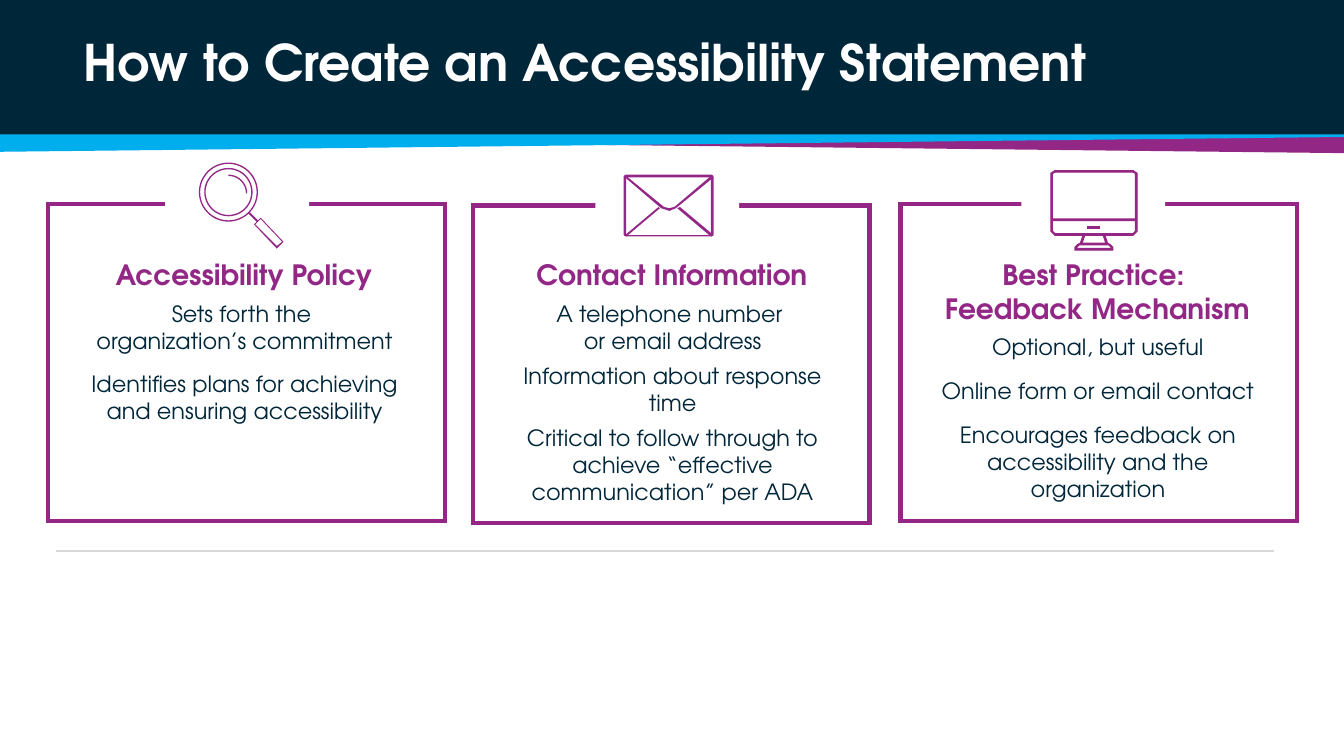
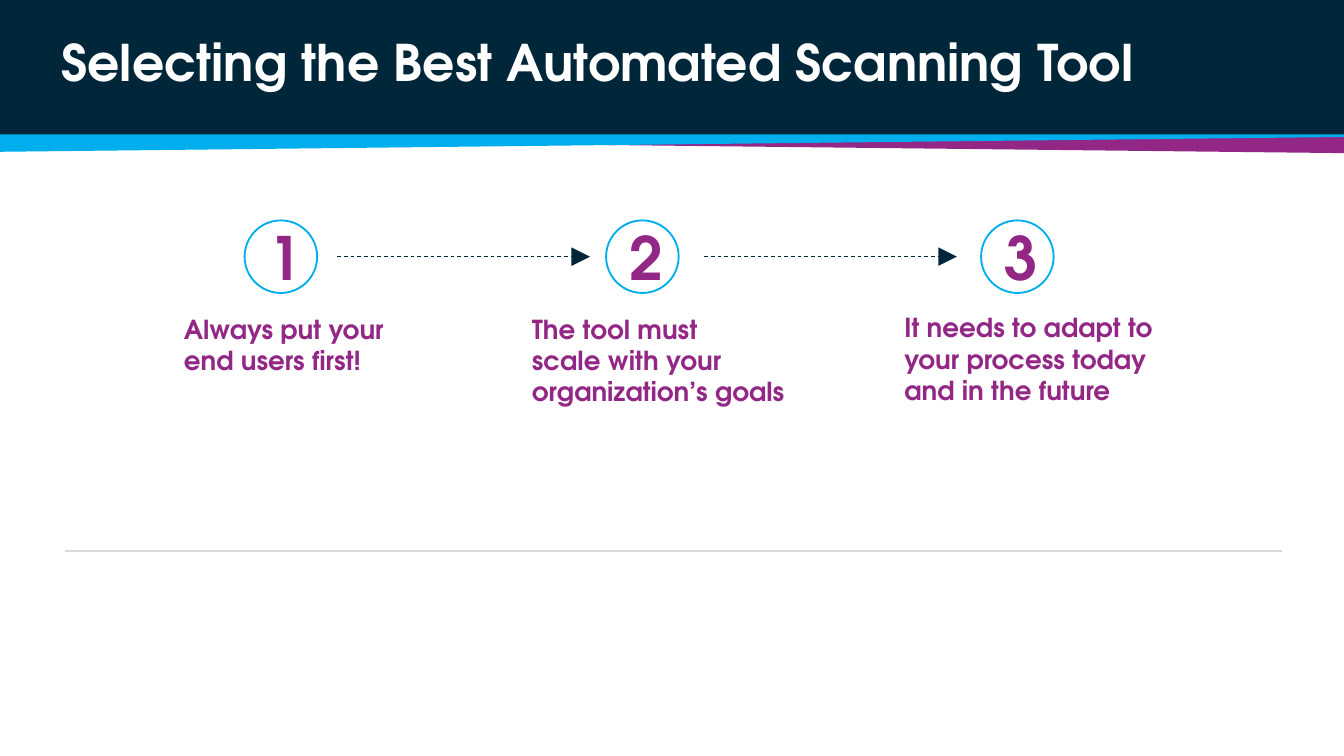
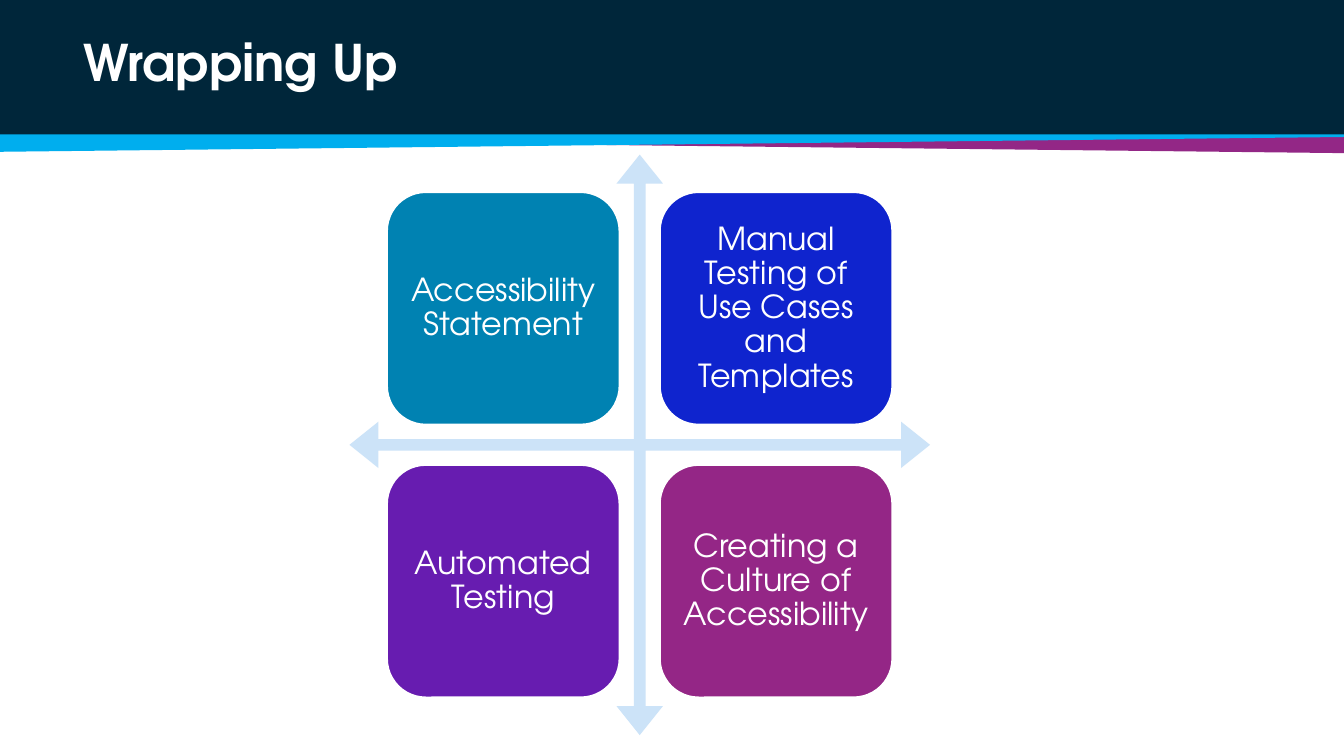
from copy import deepcopy
from dataclasses import dataclass
from itertools import product
from math import cos, radians, sin
from typing import Any, Callable

from lxml.etree import SubElement
from pptx import Presentation
from pptx.dml.color import RGBColor
from pptx.enum.dml import MSO_LINE
from pptx.enum.shapes import MSO_CONNECTOR, MSO_SHAPE
from pptx.enum.text import MSO_ANCHOR, MSO_AUTO_SIZE, PP_ALIGN
from pptx.oxml.ns import qn
from pptx.util import Inches, Pt

Point = tuple[float, float]
Box = tuple[float, float, float, float]


@dataclass(frozen=True)
class Theme:
    font: str = "TeX Gyre Adventor"
    navy: str = "00263A"
    plum: str = "932786"
    frame: str = "942686"
    icon: str = "942887"
    sky: str = "00AEEE"
    pale: str = "CCE3F8"
    grey: str = "D9D9D9"
    white: str = "FFFFFF"
    teal: str = "0082B2"
    blue: str = "0F24CE"
    violet: str = "671CB0"
    title: float = 27
    head: float = 15
    body: float = 12
    label: float = 14
    digit: float = 32
    tile: float = 17


THEME = Theme()


@dataclass
class Para:
    text: str
    size: float
    color: str
    bold: bool = False
    level: int = 0
    align: Any = None
    before: float = 0
    after: float = 0
    spacing: float = 1


@dataclass
class Card:
    """A framed column; gap is the left of the break in its top edge."""
    left: float
    top: float
    gap: float
    text_box: Box
    head: str
    lines: list[str]
    after: float
    icon: Callable[[Any], None]


@dataclass
class Step:
    left: float
    label: Box
    text: str


@dataclass
class Tile:
    text: str
    color: str


def paint(shape: Any, fill: str | None, edge: str | None, width: float = 1) -> None:
    shape.shadow.inherit = False
    if fill:
        shape.fill.solid()
        shape.fill.fore_color.rgb = RGBColor.from_string(fill)
    else:
        shape.fill.background()
    if edge:
        shape.line.color.rgb = RGBColor.from_string(edge)
        shape.line.width = Pt(width)
        SubElement(shape._element.spPr.find(qn("a:ln")), qn("a:miter"), lim="800000")
    else:
        shape.line.fill.background()


def add_box(shapes: Any, box: Box, fill: str | None = None, edge: str | None = None,
            width: float = 1, kind: Any = MSO_SHAPE.RECTANGLE) -> Any:
    shape = shapes.add_shape(kind, *map(Inches, box))
    paint(shape, fill, edge, width)
    return shape


def add_free(shapes: Any, fill: str, *loops: list[Point], edge: str | None = None) -> None:
    """Draw one closed outline; further loops cut holes in it."""
    first, *holes = [[(Inches(x), Inches(y)) for x, y in loop] for loop in loops]
    build = shapes.build_freeform(*first[0])
    build.add_line_segments(first[1:])
    for hole in holes:
        build.move_to(*hole[0])
        build.add_line_segments(hole[1:])
    paint(build.convert_to_shape(), fill, edge, 0.75)


def add_line(shapes: Any, start: Point, end: Point, color: str,
             width: float = 1, arrow: bool = False) -> None:
    line = shapes.add_connector(MSO_CONNECTOR.STRAIGHT, *map(Inches, start + end))
    line.line.color.rgb = RGBColor.from_string(color)
    line.line.width = Pt(width)
    props = line._element.spPr
    if arrow:
        line.line.dash_style = MSO_LINE.DASH
        SubElement(props.find(qn("a:ln")), qn("a:tailEnd"), type="triangle", w="lg", len="lg")
    SubElement(props, qn("a:effectLst"))


def write(shape: Any, paras: list[Para], **frame_format: Any) -> None:
    frame = shape.text_frame
    for key, value in ({"word_wrap": True} | frame_format).items():
        setattr(frame, key, value)
    for i, para in enumerate(paras):
        p = frame.add_paragraph() if i else frame.paragraphs[0]
        p.text = para.text
        p._p.get_or_add_pPr().set("marL", str(Inches(0.01) if para.align and i else 0))
        layout = {"alignment": para.align or PP_ALIGN.LEFT, "level": para.level,
                  "space_before": Pt(para.before), "space_after": Pt(para.after),
                  "line_spacing": para.spacing}
        for key, value in layout.items():
            setattr(p, key, value)
        style = {"name": THEME.font, "size": Pt(para.size), "bold": para.bold}
        for run in p.runs:
            for key, value in style.items():
                setattr(run.font, key, value)
            run.font.color.rgb = RGBColor.from_string(para.color)
        for gap in p._p.findall(qn("a:br")):
            gap.append(deepcopy(p.runs[0]._r.rPr))


def add_text(shapes: Any, box: Box, paras: list[Para], **frame_format: Any) -> None:
    write(shapes.add_textbox(*map(Inches, box)), paras, **frame_format)


def start_slide(deck: Any, title: str, left: float = 0.52, width: float = 8.62) -> Any:
    """Add a blank slide with the shared header and return its shapes."""
    shapes = deck.slides.add_slide(deck.slide_layouts[6]).shapes
    add_box(shapes, (0, -0.01, 10, 1.02), THEME.navy)
    add_free(shapes, THEME.plum, [(0, 1.03), (10, 1.14), (10, 1.01), (0, 1.01)])
    add_free(shapes, THEME.sky, [(10, 1.02), (-0.01, 1.13), (-0.01, 1), (10, 1)])
    add_text(shapes, (left, -0.01, width, 0.99),
             [Para(title, THEME.title, THEME.white, True, spacing=0.9)],
             vertical_anchor=MSO_ANCHOR.MIDDLE)
    return shapes


def add_rule(shapes: Any, left: float) -> None:
    add_line(shapes, (left, 4.1), (left + 9.06, 4.1), THEME.grey)


def arc(x: float, y: float, radius: float, start: int = 0, end: int = 360) -> list[Point]:
    turns = [radians(start + (end - start) * i / 48) for i in range(49)]
    return [(x + radius * cos(t), y + radius * sin(t)) for t in turns]


def round_box(left: float, top: float, right: float, low: float, r: float) -> list[Point]:
    return (arc(right - r, low - r, r, 0, 90) + arc(left + r, low - r, r, 90, 180)
            + arc(left + r, top + r, r, 180, 270) + arc(right - r, top + r, r, 270, 360))


def draw_lens(shapes: Any) -> None:
    x, y = 1.7, 1.43
    outer = [(1.92, 1.64), (1.86, 1.58), *arc(x, y, 0.22, 42, -312), (1.85, 1.59),
             (1.91, 1.65), (1.89, 1.67), (2.06, 1.85), (2.11, 1.8), (1.94, 1.62)]
    grip = [(2.06, 1.83), (1.9, 1.67), (1.94, 1.63), (2.1, 1.8)]
    add_free(shapes, THEME.icon, outer, arc(x, y, 0.21), grip)
    add_free(shapes, THEME.icon, arc(x, y, 0.18), arc(x, y, 0.17))
    add_free(shapes, THEME.icon, arc(x, 1.44, 0.14, -90, 0) + arc(x, 1.44, 0.13, 0, -90))


def draw_mail(shapes: Any) -> None:
    add_free(shapes, THEME.icon, [(5.29, 1.76), (5.04, 1.55), (5.06, 1.54), (5.31, 1.75)])
    add_free(shapes, THEME.icon, round_box(4.64, 1.3, 5.31, 1.76, 0.02),
             [(4.66, 1.32), (5.29, 1.32), (5.29, 1.75), (4.66, 1.75)])
    add_free(shapes, THEME.icon, [
        (4.98, 1.57), (4.92, 1.55), (4.65, 1.32), (4.66, 1.31), (4.94, 1.54),
        (4.98, 1.55), (5.02, 1.54), (5.29, 1.31), (5.31, 1.32), (5.03, 1.55)])
    add_free(shapes, THEME.icon, [(4.66, 1.76), (4.65, 1.75), (4.9, 1.54), (4.91, 1.55)])


def draw_screen(shapes: Any) -> None:
    outer = [(8.43, 1.27), (7.85, 1.27), (7.82, 1.29), (7.82, 1.72), (7.85, 1.75),
             (8.06, 1.75), (8.04, 1.81), (8.02, 1.82), (8, 1.84), (8, 1.86), (8.28, 1.86),
             (8.28, 1.84), (8.26, 1.82), (8.24, 1.81), (8.22, 1.75), (8.43, 1.75),
             (8.46, 1.72), (8.46, 1.29)]
    glass = [(7.83, 1.63), (7.83, 1.29), (7.85, 1.28), (8.43, 1.28), (8.45, 1.29), (8.45, 1.63)]
    foot = [(8.25, 1.82), (8.27, 1.84), (8.27, 1.85), (8.01, 1.85), (8.01, 1.84), (8.03, 1.82)]
    neck = [(8.23, 1.81), (8.05, 1.81), (8.07, 1.75), (8.21, 1.75)]
    chin = [(8.45, 1.72), (8.43, 1.74), (7.85, 1.74), (7.83, 1.72), (7.83, 1.64), (8.45, 1.64)]
    add_free(shapes, THEME.icon, outer, glass, foot, neck, chin, edge=THEME.frame)
    add_box(shapes, (8.09, 1.69, 0.09, 0.01), THEME.icon, THEME.frame, 0.75)


def add_card(shapes: Any, card: Card) -> None:
    group = shapes.add_group_shape().shapes
    add_box(group, (card.left, card.top, 2.95, 2.36), edge=THEME.frame, width=2.25)
    add_box(group, (card.gap, 1.28, 1.07, 0.59), THEME.white)
    mid = PP_ALIGN.CENTER
    paras = [Para(card.head, THEME.head, THEME.plum, True, align=mid)]
    paras += [Para(line, THEME.body, THEME.navy, level=1, align=mid, before=4.5,
                   after=card.after) for line in card.lines]
    add_text(group, card.text_box, paras, auto_size=MSO_AUTO_SIZE.SHAPE_TO_FIT_TEXT)
    card.icon(group)


def build_cards(deck: Any) -> None:
    shapes = start_slide(deck, "How to Create an Accessibility Statement")
    add_rule(shapes, 0.42)
    cards = [
        Card(3.52, 1.53, 4.43, (3.78, 1.87, 2.44, 1.98), "Contact Information",
             ["A telephone number \nor email address", "Information about response time",
              "Critical to follow through to achieve “effective communication” per ADA"],
             0, draw_mail),
        Card(6.7, 1.52, 7.6, (6.88, 1.87, 2.57, 1.97), "Best Practice: \nFeedback Mechanism",
             ["Optional, but useful", "Online form or email contact",
              "Encourages feedback on accessibility and the organization"], 4.5, draw_screen),
        Card(0.36, 1.52, 1.23, (0.49, 1.87, 2.65, 1.37), "Accessibility Policy",
             ["Sets forth the \norganization’s commitment",
              "Identifies plans for achieving and ensuring accessibility"], 4.5, draw_lens),
    ]
    for card in cards:
        add_card(shapes, card)


def build_steps(deck: Any) -> None:
    shapes = start_slide(deck, "Selecting the Best Automated Scanning Tool", 0.36, 9.23)
    steps = [
        Step(1.82, (1.27, 2.28, 1.9, 0.57), "Always put your end users first!"),
        Step(4.51, (3.86, 2.28, 2.09, 0.81),
             "The tool must \nscale with your organization’s goals"),
        Step(7.3, (6.63, 2.27, 2.28, 0.81),
             "It needs to adapt to your process today and in the future"),
    ]
    for i, step in enumerate(steps, 1):
        ring = add_box(shapes, (step.left, 1.64, 0.54, 0.54), edge=THEME.sky,
                       kind=MSO_SHAPE.FLOWCHART_CONNECTOR)
        write(ring, [Para(str(i), THEME.digit, THEME.plum, True, align=PP_ALIGN.CENTER)],
              vertical_anchor=MSO_ANCHOR.MIDDLE)
        add_text(shapes, step.label, [Para(step.text, THEME.label, THEME.plum, True)],
                 auto_size=MSO_AUTO_SIZE.SHAPE_TO_FIT_TEXT)
    for x in (2.51, 5.24):
        add_line(shapes, (x, 1.91), (x + 1.88, 1.91), THEME.navy, 0.5, arrow=True)
    add_rule(shapes, 0.48)


def build_tiles(deck: Any) -> None:
    shapes = start_slide(deck, "Wrapping Up").add_group_shape().shapes
    cross = add_box(shapes, (2.6, 1.15, 4.32, 4.32), THEME.pale, kind=MSO_SHAPE.QUAD_ARROW)
    for i, ratio in enumerate((0.02, 0.04, 0.05)):
        cross.adjustments[i] = ratio
    tiles = [
        Tile("Accessibility Statement", THEME.teal),
        Tile("Manual Testing of Use Cases and Templates", THEME.blue),
        Tile("Automated Testing", THEME.violet),
        Tile("Creating a Culture of Accessibility", THEME.frame),
    ]
    sides = ("left", "top", "right", "bottom")
    inset = {f"margin_{side}": Inches(0.07) for side in sides}
    for (row, col), tile in zip(product(range(2), repeat=2), tiles):
        shape = add_box(shapes, (2.88 + 2.03 * col, 1.43 + 2.03 * row, 1.73, 1.73),
                        tile.color, THEME.white, kind=MSO_SHAPE.ROUNDED_RECTANGLE)
        write(shape, [Para(tile.text, THEME.tile, THEME.white, align=PP_ALIGN.CENTER,
                           spacing=0.9)], vertical_anchor=MSO_ANCHOR.MIDDLE, **inset)


def main() -> None:
    deck = Presentation()
    deck.slide_width = Inches(10)
    deck.slide_height = Inches(10) * 9 // 16
    for build in (build_cards, build_steps, build_tiles):
        build(deck)
    deck.save("out.pptx")


if __name__ == "__main__":
    main()
